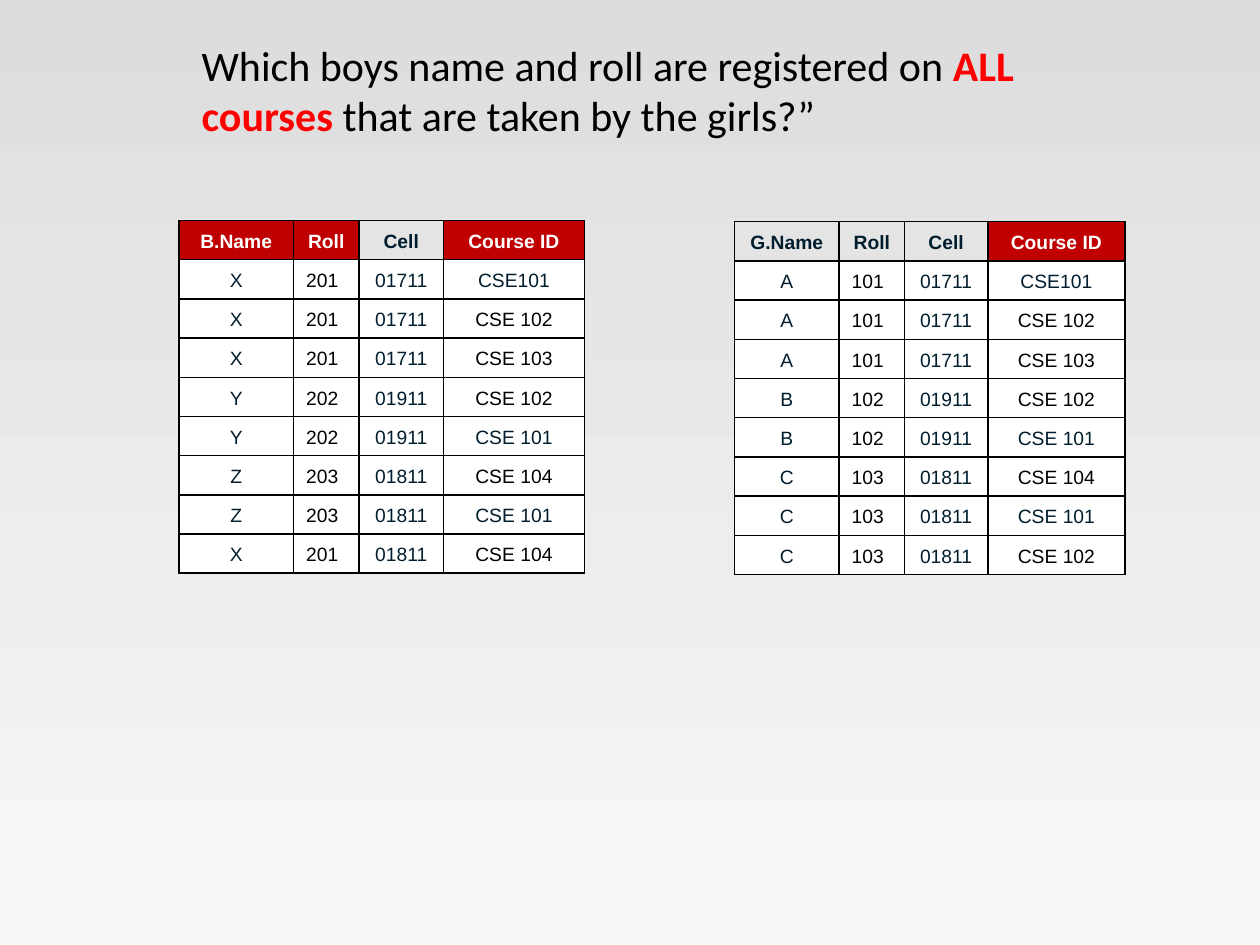
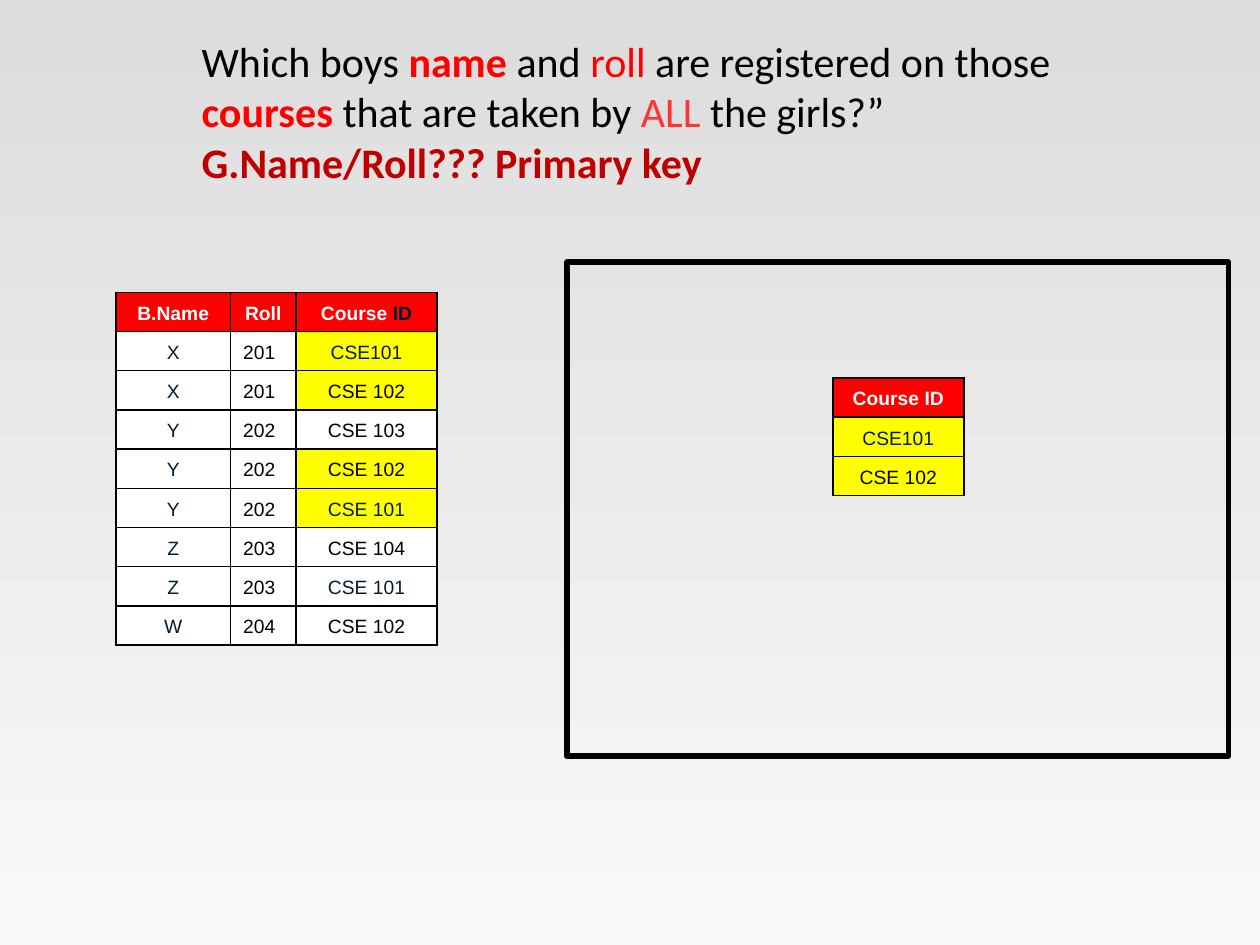
from dataclasses import dataclass
from typing import NamedTuple

from lxml.etree import SubElement
from pptx import Presentation
from pptx.dml.color import RGBColor
from pptx.enum.shapes import MSO_SHAPE as Preset
from pptx.enum.text import MSO_ANCHOR as Anchor, MSO_AUTO_SIZE as AutoSize, PP_ALIGN as Align
from pptx.oxml.ns import qn
from pptx.util import Inches, Pt

COLORS = {
    "black": "000000", "white": "FFFFFF", "navy": "001D2E", "red": "FF0000",
    "soft red": "FF3333", "dark red": "C00000", "yellow": "FFFF00",
    "sky": "DDDDDD", "ground": "F8F8F8",
}
TITLE_FONT = {"name": "Calibri", "size": Pt(24)}
CELL_FONT = {"name": "Arial", "size": Pt(11)}
TITLE_FRAME = {"word_wrap": True, "vertical_anchor": Anchor.TOP,
               "auto_size": AutoSize.SHAPE_TO_FIT_TEXT}
PLAIN_TABLE = {"first_row": False, "horz_banding": False}
ROW_HEIGHT = Inches(0.31)


class Run(NamedTuple):
    text: str
    color: str = "black"
    bold: bool = False


class Column(NamedTuple):
    heading: tuple[Run, ...]
    width: float
    fill: str | None = None
    align: Align = Align.CENTER


@dataclass
class Relation:
    left: float
    top: float
    columns: list[Column]
    records: list[tuple[str, ...]]
    matches: tuple[int, ...] = ()  # records whose course is highlighted


def rgb(color: str) -> RGBColor:
    return RGBColor.from_string(COLORS[color])


def apply(target, values: dict) -> None:
    for attribute, value in values.items():
        setattr(target, attribute, value)


def write_runs(paragraph, runs, font: dict) -> None:
    for item in runs:
        run = paragraph.add_run()
        run.text = item.text
        apply(run.font, {**font, "bold": item.bold})
        run.font.color.rgb = rgb(item.color)


def add_question(slide, top: float, height: float, lines) -> None:
    title = slide.shapes.title
    apply(title, {"left": Inches(1.5), "top": Inches(top),
                  "width": Inches(7.08), "height": Inches(height)})
    frame = title.text_frame
    apply(frame, TITLE_FRAME)
    for number, runs in enumerate(lines):
        paragraph = frame.add_paragraph() if number else frame.paragraphs[0]
        paragraph.alignment = Align.LEFT
        write_runs(paragraph, runs, TITLE_FONT)


def draw_borders(cell) -> None:
    """Outline a cell; borders must come before the fill."""
    properties = cell._tc.get_or_add_tcPr()
    for side in ("a:lnL", "a:lnR", "a:lnT", "a:lnB"):
        line = SubElement(properties, qn(side), w=str(Pt(1)))
        solid = SubElement(line, qn("a:solidFill"))
        SubElement(solid, qn("a:srgbClr"), val=COLORS["black"])


def fill_cell(cell, runs, fill: str | None, align: Align) -> None:
    draw_borders(cell)
    if fill:
        cell.fill.solid()
        cell.fill.fore_color.rgb = rgb(fill)
    else:
        cell.fill.background()
    cell.vertical_anchor = Anchor.MIDDLE
    paragraph = cell.text_frame.paragraphs[0]
    apply(paragraph, {"alignment": align, "line_spacing": 1.15})
    write_runs(paragraph, runs, CELL_FONT)


def text_color(value: str, column: Column) -> str:
    """Rolls and every course but 101 are black, the rest is navy."""
    is_roll = column.align == Align.LEFT
    other_course = value.startswith("CSE") and not value.endswith("101")
    return "black" if is_roll or other_course else "navy"


def add_relation(slide, relation: Relation) -> None:
    row_count = len(relation.records) + 1
    width = Inches(sum(column.width for column in relation.columns))
    table = slide.shapes.add_table(
        row_count, len(relation.columns), Inches(relation.left),
        Inches(relation.top), width, ROW_HEIGHT * row_count).table
    apply(table, PLAIN_TABLE)
    for row in table.rows:
        row.height = ROW_HEIGHT

    for index, column in enumerate(relation.columns):
        table.columns[index].width = Inches(column.width)
        fill_cell(table.cell(0, index), column.heading, column.fill, Align.CENTER)
        for number, record in enumerate(relation.records, start=1):
            value = record[index]
            matched = number in relation.matches and value.startswith("CSE")
            fill_cell(table.cell(number, index), [Run(value, text_color(value, column))],
                      "yellow" if matched else "white", column.align)


def add_answer_frame(slide) -> None:
    frame = slide.shapes.add_shape(
        Preset.RECTANGLE, Inches(4.5), Inches(2.08), Inches(5.25), Inches(3.92))
    frame.shadow.inherit = False
    frame.fill.background()
    frame.line.color.rgb = rgb("black")
    frame.line.width = Pt(3)


def heading(text: str, color: str = "white") -> tuple[Run, ...]:
    return (Run(text, color, True),)


def split(rows: str) -> list[tuple[str, ...]]:
    return [tuple(row.strip().split("|")) for row in rows.strip().splitlines()]


# Registrations on the first slide
GIRLS = Relation(5.83, 1.76, [
    Column(heading("G.Name", "navy"), 0.83),
    Column(heading("Roll", "navy"), 0.52, align=Align.LEFT),
    Column(heading("Cell", "navy"), 0.66),
    Column(heading("Course ID"), 1.09, "dark red"),
], split("""
    A|101|01711|CSE101
    A|101|01711|CSE 102
    A|101|01711|CSE 103
    B|102|01911|CSE 102
    B|102|01911|CSE 101
    C|103|01811|CSE 104
    C|103|01811|CSE 101
    C|103|01811|CSE 102
"""))
BOYS = Relation(1.42, 1.75, [
    Column(heading("B.Name"), 0.91, "dark red"),
    Column(heading("Roll"), 0.52, "dark red", Align.LEFT),
    Column(heading("Cell", "navy"), 0.67),
    Column(heading("Course ID"), 1.12, "dark red"),
], split("""
    X|201|01711|CSE101
    X|201|01711|CSE 102
    X|201|01711|CSE 103
    Y|202|01911|CSE 102
    Y|202|01911|CSE 101
    Z|203|01811|CSE 104
    Z|203|01811|CSE 101
    X|201|01811|CSE 104
"""))

# Projection and divisor on the second slide
BOYS_COURSES = Relation(0.92, 2.32, [
    Column(heading("B.Name"), 0.91, "red"),
    Column(heading("Roll"), 0.52, "red", Align.LEFT),
    Column(heading("Course") + heading(" ID", "navy"), 1.12, "red"),
], split("""
    X|201|CSE101
    X|201|CSE 102
    Y|202|CSE 103
    Y|202|CSE 102
    Y|202|CSE 101
    Z|203|CSE 104
    Z|203|CSE 101
    W|204|CSE 102
"""), matches=(1, 2, 4, 5))
SHARED_COURSES = Relation(
    6.61, 3, [Column(heading("Course ID"), 1.04, "red")],
    [("CSE101",), ("CSE 102",)], matches=(1, 2))

ALL_COURSES_QUESTION = [[
    Run("Which boys name and roll are registered on "),
    Run("ALL courses ", "red", True),
    Run("that are taken by the girls?”"),
]]
ALL_GIRLS_QUESTION = [[
    Run("Which boys "), Run("name", "red", True), Run(" and"), Run(" roll ", "red"),
    Run("are registered on those "), Run("courses", "red", True),
    Run(" that are taken by "), Run("ALL ", "soft red"), Run("the girls?”"),
], [Run("G.Name/Roll??? Primary key", "dark red", True)]]


def main() -> None:
    deck = Presentation()
    apply(deck, {"slide_width": Inches(10), "slide_height": Inches(7.5)})

    # Shared background
    backdrop = deck.slide_master.background.fill
    backdrop.gradient()
    backdrop.gradient_angle = 270
    for stop, color in zip(backdrop.gradient_stops, ("sky", "ground")):
        stop.color.rgb = rgb(color)
    title_only = deck.slide_layouts.get_by_name("Title Only")

    # Boys on all courses taken by the girls
    all_courses = deck.slides.add_slide(title_only)
    add_question(all_courses, 0.26, 0.91, ALL_COURSES_QUESTION)
    add_relation(all_courses, GIRLS)
    add_relation(all_courses, BOYS)

    # Boys on the courses taken by all girls
    all_girls = deck.slides.add_slide(title_only)
    add_question(all_girls, 0.23, 1.72, ALL_GIRLS_QUESTION)
    add_relation(all_girls, BOYS_COURSES)
    add_answer_frame(all_girls)
    add_relation(all_girls, SHARED_COURSES)

    deck.save("out.pptx")


if __name__ == "__main__":
    main()
